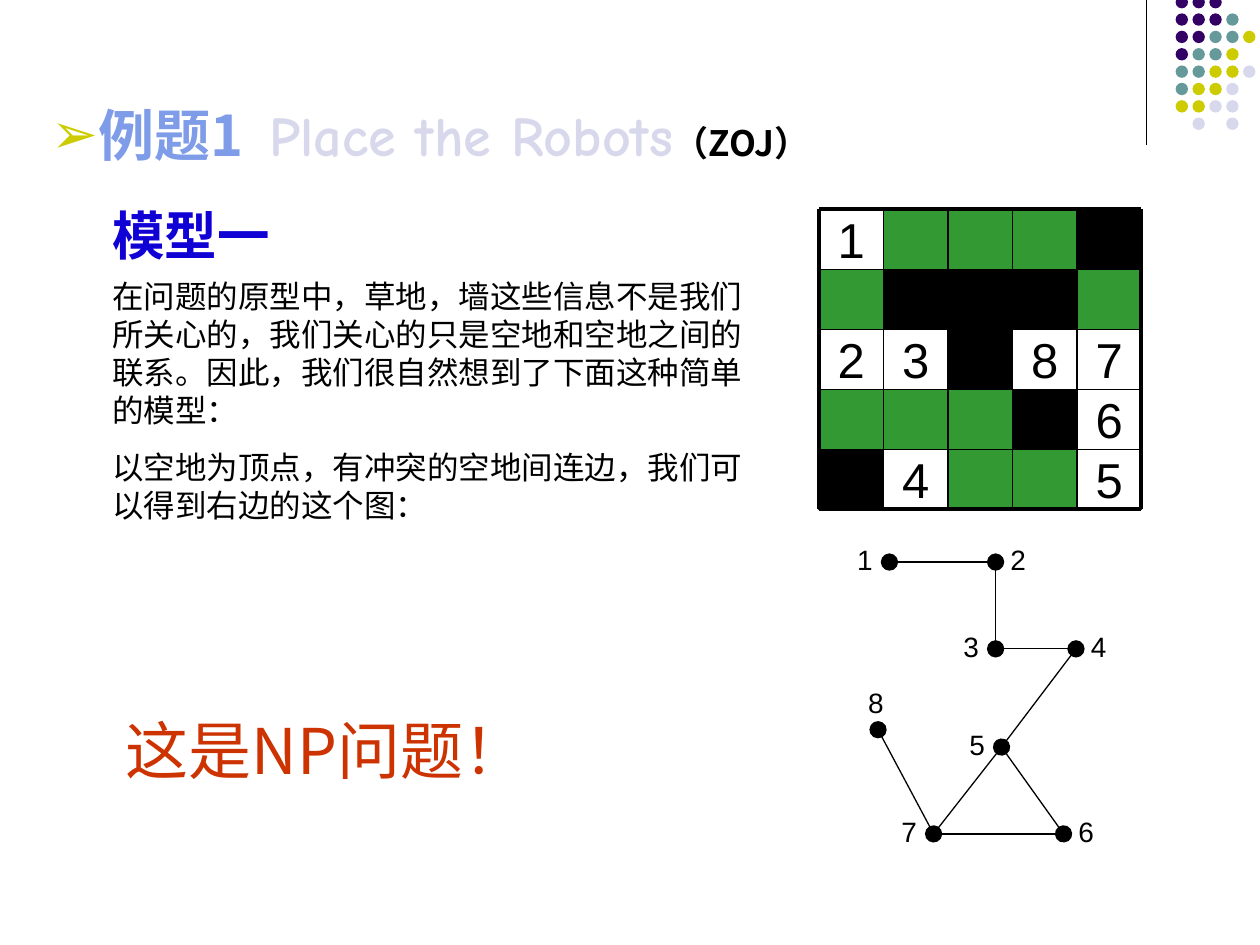
from lxml import etree
from pptx import Presentation
from pptx.dml.color import RGBColor
from pptx.enum.shapes import MSO_CONNECTOR, MSO_SHAPE
from pptx.enum.text import MSO_ANCHOR, PP_ALIGN
from pptx.oxml.ns import qn
from pptx.util import Cm, Pt

STRAIGHT = MSO_CONNECTOR.STRAIGHT
OVAL, RECTANGLE = MSO_SHAPE.OVAL, MSO_SHAPE.RECTANGLE
MIDDLE, TOP = MSO_ANCHOR.MIDDLE, MSO_ANCHOR.TOP
LEFT, CENTER = PP_ALIGN.LEFT, PP_ALIGN.CENTER

SANS, CJK, COMIC = "Arial", "Noto Sans CJK SC", "Comic Neue"
BLACK = "000000"

# Runs: text, size, font, colour, bold
TITLE = [
    ("例题1  ", 32, CJK, "7E9CE8", True),
    ("Place the Robots", 32, COMIC, "D8D8EC", True),
    ("（ZOJ）", 20, CJK, BLACK, True),
]
HEADING = ("模型一", 30, CJK, "1001D5", True)
EXPLANATION = [
    "在问题的原型中，草地，墙这些信息不是我们所关心的，我们关心的只是空地和空地之间的联系。"
    "因此，我们很自然想到了下面这种简单的模型：",
    "以空地为顶点，有冲突的空地间连边，我们可以得到右边的这个图：",
]
CONCLUSION = ("这是NP问题！", 36, CJK, "CC3300", False)

# G is grass, W is wall, a digit is a numbered empty cell
BOARD = ["1GGGW", "GWWWG", "23W87", "GGGW6", "W4GG5"]
BOARD_COLOURS = {"G": "339933", "W": BLACK}
BOARD_LEFT, BOARD_TOP, CELL_WIDTH, CELL_HEIGHT = 16.51, 4.22, 1.3, 1.21

# Node: x, y, side of its label
NODES = {
    "1": (17.93, 11.33, "left"),
    "2": (20.07, 11.33, "right"),
    "3": (20.07, 13.08, "left"),
    "4": (21.69, 13.08, "right"),
    "5": (20.19, 15.06, "left"),
    "6": (21.44, 16.81, "right"),
    "7": (18.82, 16.81, "left"),
    "8": (17.7, 14.71, "above"),
}
LABEL_OFFSETS = {"left": (-0.65, -0.05), "right": (0.3, -0.05), "above": (-0.2, -0.55)}
LABEL_WIDTH, LABEL_HEIGHT = 0.4, 0.68
DOTTED_EDGES = ["12", "34", "56", "78"]
PLAIN_EDGES = ["23", "45", "57", "67"]

DOT_ROWS = ["PPP", "PPPT", "PPTTY", "PTTY", "TTYYL", "TYYL", "YYLL", " L L"]
DOT_COLOURS = {"P": "330066", "T": "669999", "Y": "CCCC00", "L": "D8D8EC"}
DOT_LEFT, DOT_TOP, DOT_SIZE, DOT_STEP_X, DOT_STEP_Y = 23.7, -0.08, 0.25, 0.34, 0.35


def colour(value):
    return RGBColor.from_string(value)


def add_span(para, text, size, font, shade, bold=False):
    span = para.add_run()
    span.text = text
    span.font.size = Pt(size)
    span.font.name = font
    span.font.bold = bold
    span.font.color.rgb = colour(shade)
    etree.SubElement(span.font._element, qn("a:ea"), typeface=font)


def set_frame(box, margins=(0, 0), anchor=TOP, wrap=True):
    """Set side and top margins, anchor and wrapping; return the text frame."""
    frame = box.text_frame
    frame.margin_left = frame.margin_right = Cm(margins[0])
    frame.margin_top = frame.margin_bottom = Cm(margins[1])
    frame.vertical_anchor = anchor
    frame.word_wrap = wrap
    return frame


def add_text_box(page, left, top, width, height, **options):
    box = page.shapes.add_textbox(Cm(left), Cm(top), Cm(width), Cm(height))
    return set_frame(box, **options)


def add_shape(page, kind, left, top, width, height, fill=None, outline=False):
    shape = page.shapes.add_shape(kind, Cm(left), Cm(top), Cm(width), Cm(height))
    shape.shadow.inherit = False
    if fill:
        shape.fill.solid()
        shape.fill.fore_color.rgb = colour(fill)
    else:
        shape.fill.background()
    if outline:
        shape.line.color.rgb = colour(BLACK)
        shape.line.width = Pt(0.75)
    else:
        shape.line.fill.background()
    return shape


def add_line(page, start, end, width=0.75, dotted=False):
    line = page.shapes.add_connector(STRAIGHT, *map(Cm, start + end))
    line.line.color.rgb = colour(BLACK)
    line.line.width = Pt(width)
    etree.SubElement(line._element.spPr, qn("a:effectLst"))
    if dotted:
        for tag in ("a:headEnd", "a:tailEnd"):
            etree.SubElement(line.line._get_or_add_ln(), qn(tag), type="oval", w="lg", len="lg")


def add_corner_dots(page):
    add_line(page, (23.11, 0), (23.11, 2.92))
    for row, codes in enumerate(DOT_ROWS):
        for column, code in enumerate(codes):
            if code in DOT_COLOURS:
                add_shape(page, OVAL, DOT_LEFT + column * DOT_STEP_X, DOT_TOP + row * DOT_STEP_Y,
                          DOT_SIZE, DOT_SIZE, DOT_COLOURS[code])


def add_title(page):
    title = page.shapes.title
    title.left, title.top, title.width, title.height = Cm(0.79), Cm(1.9), Cm(23.72), Cm(1.6)
    para = set_frame(title, (0.25, 0.13), MIDDLE).paragraphs[0]
    para.alignment = LEFT
    properties = para._p.get_or_add_pPr()
    properties.set("marL", str(Cm(0.95)))
    properties.set("indent", str(-Cm(0.95)))
    bullet_colour = etree.SubElement(properties, qn("a:buClr"))
    etree.SubElement(bullet_colour, qn("a:srgbClr"), val="CCCC00")
    etree.SubElement(properties, qn("a:buFont"), typeface=SANS)
    etree.SubElement(properties, qn("a:buChar"), char="➢")
    for span in TITLE:
        add_span(para, *span)


def add_body(page):
    heading = add_text_box(page, 2.01, 3.71, 12.29, 1.78, margins=(0.25, 0.13)).paragraphs[0]
    heading.line_spacing = 1.2
    add_span(heading, *HEADING)

    frame = add_text_box(page, 2.01, 5.46, 13.31, 5.23, margins=(0.25, 0.13))
    for index, text in enumerate(EXPLANATION):
        para = frame.add_paragraph() if index else frame.paragraphs[0]
        if index:
            para.space_before = Pt(11.2)
        add_span(para, text, 18, SANS, BLACK)

    conclusion = add_text_box(page, 2.29, 14.22, 9.3, 1.78, margins=(0.25, 0.13))
    add_span(conclusion.paragraphs[0], *CONCLUSION)


def add_board(page):
    for row, codes in enumerate(BOARD):
        for column, code in enumerate(codes):
            cell = add_shape(page, RECTANGLE, BOARD_LEFT + column * CELL_WIDTH,
                             BOARD_TOP + row * CELL_HEIGHT, CELL_WIDTH, CELL_HEIGHT,
                             BOARD_COLOURS.get(code), outline=True)
            if code.isdigit():
                para = set_frame(cell, anchor=MIDDLE).paragraphs[0]
                para.alignment = CENTER
                add_span(para, code, 28, SANS, BLACK)
    right = BOARD_LEFT + len(BOARD[0]) * CELL_WIDTH
    bottom = BOARD_TOP + len(BOARD) * CELL_HEIGHT
    for y in (BOARD_TOP, bottom):
        add_line(page, (BOARD_LEFT, y), (right, y), 2.25)
    for x in (BOARD_LEFT, right):
        add_line(page, (x, BOARD_TOP), (x, bottom), 2.25)


def add_graph(page):
    for start, end in DOTTED_EDGES + PLAIN_EDGES:
        add_line(page, NODES[start][:2], NODES[end][:2], dotted=start + end in DOTTED_EDGES)
    for name, (x, y, side) in NODES.items():
        shift_x, shift_y = LABEL_OFFSETS[side]
        label = add_text_box(page, x + shift_x, y + shift_y - LABEL_HEIGHT / 2,
                             LABEL_WIDTH, LABEL_HEIGHT, anchor=MIDDLE, wrap=False)
        add_span(label.paragraphs[0], name, 16, SANS, BLACK)


def main():
    deck = Presentation()
    deck.slide_width, deck.slide_height = Cm(25.4), Cm(19.05)
    page = deck.slides.add_slide(deck.slide_layouts[5])
    add_corner_dots(page)
    add_title(page)
    add_body(page)
    add_board(page)
    add_graph(page)
    deck.save("out.pptx")


if __name__ == "__main__":
    main()
